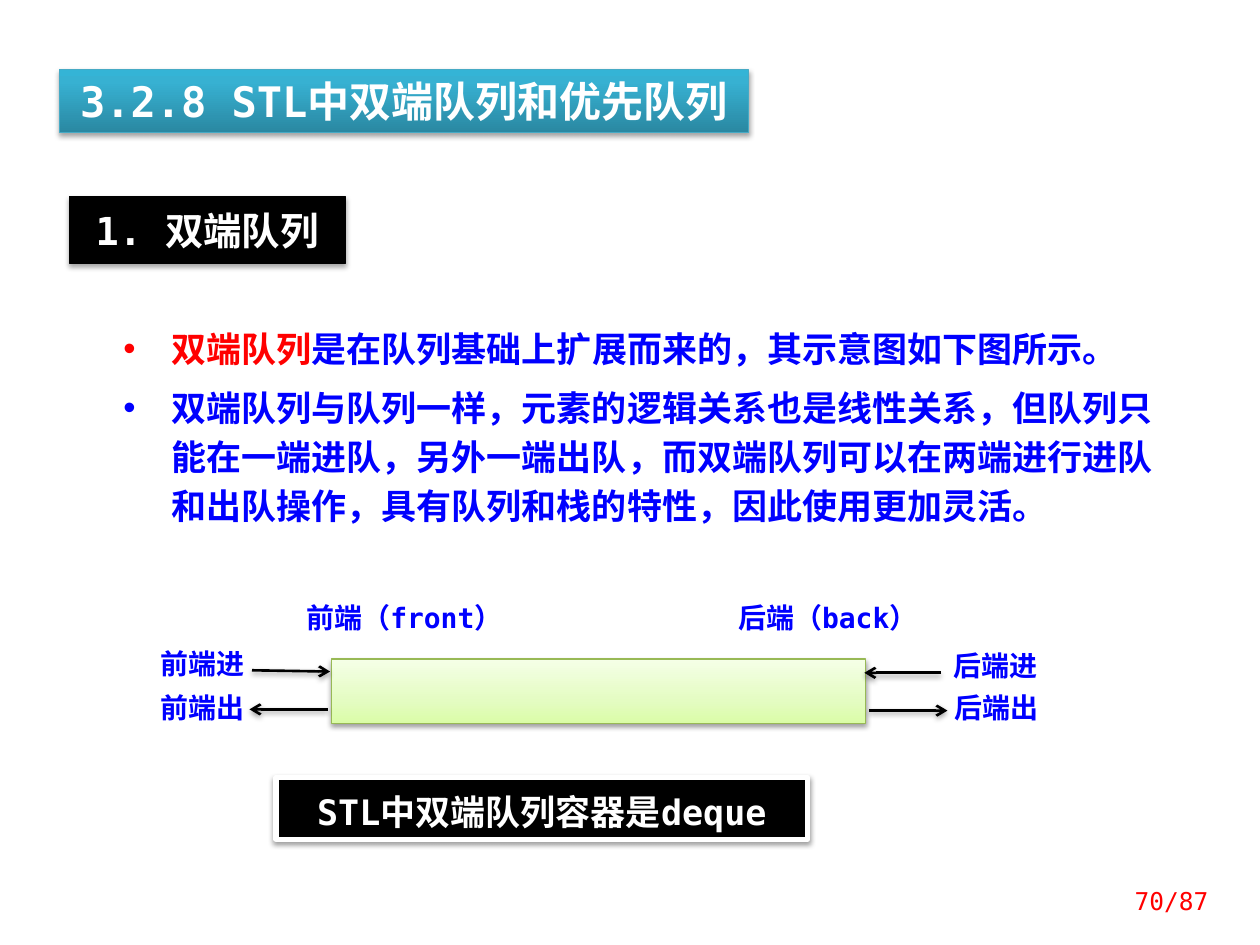
from copy import deepcopy
from pptx import Presentation
from pptx.dml.color import RGBColor
from pptx.enum.shapes import MSO_CONNECTOR as Conn, MSO_SHAPE as Shape
from pptx.enum.text import MSO_ANCHOR as Anchor, PP_ALIGN as Align
from pptx.oxml import parse_xml
from pptx.oxml.ns import nsdecls, qn
from pptx.util import Inches, Pt

FONT = "DejaVu Sans Mono"
BLUE, RED, BLACK, WHITE = "0000FF", "FF0000", "000000", "FFFFFF"


def rgb(code):
    return RGBColor.from_string(code)


def place(shape, box):
    shape.left, shape.top, shape.width, shape.height = map(Inches, box)


def rect(slide, box, fill=WHITE):
    shape = slide.shapes.add_shape(Shape.RECTANGLE, *map(Inches, box))
    shape.shadow.inherit = False
    shape.fill.solid()
    shape.fill.fore_color.rgb = rgb(fill)
    shape.line.fill.background()
    return shape


def edge(shape, color, width):
    shape.line.color.rgb = rgb(color)
    shape.line.width = Pt(width)


def shade(shape, alpha=38, dist=1.6):
    props = shape._element.spPr
    for old in props.findall(qn("a:effectLst")):
        props.remove(old)
    props.append(parse_xml(
        f'<a:effectLst {nsdecls("a")}><a:outerShdw blurRad="{Pt(3.1)}" '
        f'dist="{Pt(dist)}" dir="5400000" rotWithShape="0">'
        f'<a:srgbClr val="{BLACK}"><a:alpha val="{alpha * 1000}"/></a:srgbClr>'
        '</a:outerShdw></a:effectLst>'))


def blend(shape, stops):
    """Fill with a gradient that runs from the bottom to the top."""
    shape.fill.gradient()
    shape.fill.gradient_angle = 90
    first = shape._element.spPr.find(qn("a:gradFill")).find(qn("a:gsLst"))[0]
    first.addnext(deepcopy(first))
    for stop, (pos, color) in zip(shape.fill.gradient_stops, stops):
        stop.position = pos
        stop.color.rgb = rgb(color)


def style(run, size, color, bold=True):
    font = run.font
    font.name, font.size, font.bold = FONT, Pt(size), bold
    font.color.rgb = rgb(color)


def write(shape, text, size, color, pad=(0.1, 0.05), align=Align.CENTER,
          anchor=Anchor.TOP, bold=True):
    frame = shape.text_frame
    frame.text = text
    frame.word_wrap = True
    frame.vertical_anchor = anchor
    frame.margin_left = frame.margin_right = Inches(pad[0])
    frame.margin_top = frame.margin_bottom = Inches(pad[1])
    par = frame.paragraphs[0]
    par.alignment = align
    style(par.runs[0], size, color, bold)
    return par


def add_title(slide, box):
    title = slide.shapes.title
    place(title, box)
    blend(title, [(0, "2A88A2"), (0.8, "37B1D2"), (1, "34B4D6")])
    edge(title, "46AAC5", 0.75)
    shade(title, 35, 1.8)
    write(title, "3.2.8 STL中双端队列和优先队列", 24, WHITE)


def add_heading(slide, box):
    head = rect(slide, box, BLACK)
    edge(head, BLACK, 0.75)
    shade(head, 35, 1.8)
    write(head, "1. 双端队列", 22, WHITE, (0.1, 0.08))


def add_body(slide, box):
    frame = rect(slide, box).text_frame
    frame.word_wrap = True
    frame.vertical_anchor = Anchor.TOP
    frame.margin_left, frame.margin_right = Inches(0.2), Inches(0.1)
    frame.margin_top = frame.margin_bottom = Inches(0.12)
    items = [
        [("双端队列", RED), ("是在队列基础上扩展而来的，其示意图如下图所示。", BLUE)],
        [("双端队列与队列一样，元素的逻辑关系也是线性关系，但队列只能在一端进队，"
          "另外一端出队，而双端队列可以在两端进行进队和出队操作，"
          "具有队列和栈的特性，因此使用更加灵活。", BLUE)],
    ]
    for i, parts in enumerate(items):
        par = frame.add_paragraph() if i else frame.paragraphs[0]
        par.alignment = Align.LEFT
        par.line_spacing = Pt(28)
        par.space_before = Pt(6 if i else 0)
        props = par._p.get_or_add_pPr()
        props.set("marL", str(Inches(0.38)))
        props.set("indent", str(-Inches(0.38)))
        props.append(parse_xml(f'<a:buFont {nsdecls("a")} typeface="Arial"/>'))
        props.append(parse_xml(f'<a:buChar {nsdecls("a")} char="•"/>'))
        for text, color in parts:
            run = par.add_run()
            run.text = text
            style(run, 20, color)


def add_arrow(slide, start, end):
    line = slide.shapes.add_connector(
        Conn.STRAIGHT, *map(Inches, start + end))
    edge(line, BLACK, 1.5)
    line.line._get_or_add_ln().append(
        parse_xml(f'<a:tailEnd {nsdecls("a")} type="arrow"/>'))
    shade(line)


def add_deque(slide, box):
    left, top, width, height = box
    right = left + width

    # End names above the bar, step names beside it
    labels = [
        ("前端（front）", left - 0.31, top - 0.46, 1.78, 0.37),
        ("后端（back）", right - 1.21, top - 0.46, 1.82, 0.37),
        ("前端进", left - 1.39, top - 0.1, 0.74, 0.3),
        ("前端出", left - 1.39, top + 0.25, 0.74, 0.3),
        ("后端进", right + 0.66, top - 0.08, 0.74, 0.3),
        ("后端出", right + 0.67, top + 0.25, 0.74, 0.3),
    ]
    for text, *spot in labels:
        write(rect(slide, spot), text, 16, BLUE, (0, 0))

    # Bar
    bar = rect(slide, box)
    blend(bar, [(0, "DAFDA7"), (0.35, "E4FCC2"), (1, "F5FFE7")])
    edge(bar, "98B955", 0.75)
    shade(bar)

    # Arrows in and out at both ends
    add_arrow(slide, (left - 0.63, top + 0.09), (left - 0.01, top + 0.1))
    add_arrow(slide, (left - 0.03, top + 0.4), (left - 0.65, top + 0.4))
    add_arrow(slide, (right + 0.6, top + 0.11), (right - 0.01, top + 0.11))
    add_arrow(slide, (right + 0.03, top + 0.41), (right + 0.65, top + 0.41))


def add_note(slide, box):
    note = rect(slide, box, BLACK)
    edge(note, WHITE, 3)
    shade(note)
    write(note, "STL中双端队列容器是deque", 20, WHITE).line_spacing = Pt(28)


def add_page(slide, box):
    page = slide.shapes.add_textbox(*map(Inches, box))
    write(page, "70/87", 14, RED, align=Align.RIGHT, anchor=Anchor.MIDDLE,
          bold=False)


def main():
    deck = Presentation()
    deck.slide_width, deck.slide_height = Inches(10), Inches(7.5)
    slide = deck.slides.add_slide(deck.slide_layouts[5])
    add_title(slide, (0.47, 0.55, 5.47, 0.5))
    add_body(slide, (0.78, 2.42, 8.52, 1.89))
    add_deque(slide, (2.63, 5.23, 4.24, 0.51))
    add_heading(slide, (0.55, 1.56, 2.19, 0.53))
    add_note(slide, (2.19, 6.17, 4.22, 0.49))
    add_page(slide, (8.67, 6.95, 1.02, 0.4))
    deck.save("out.pptx")


if __name__ == "__main__":
    main()
